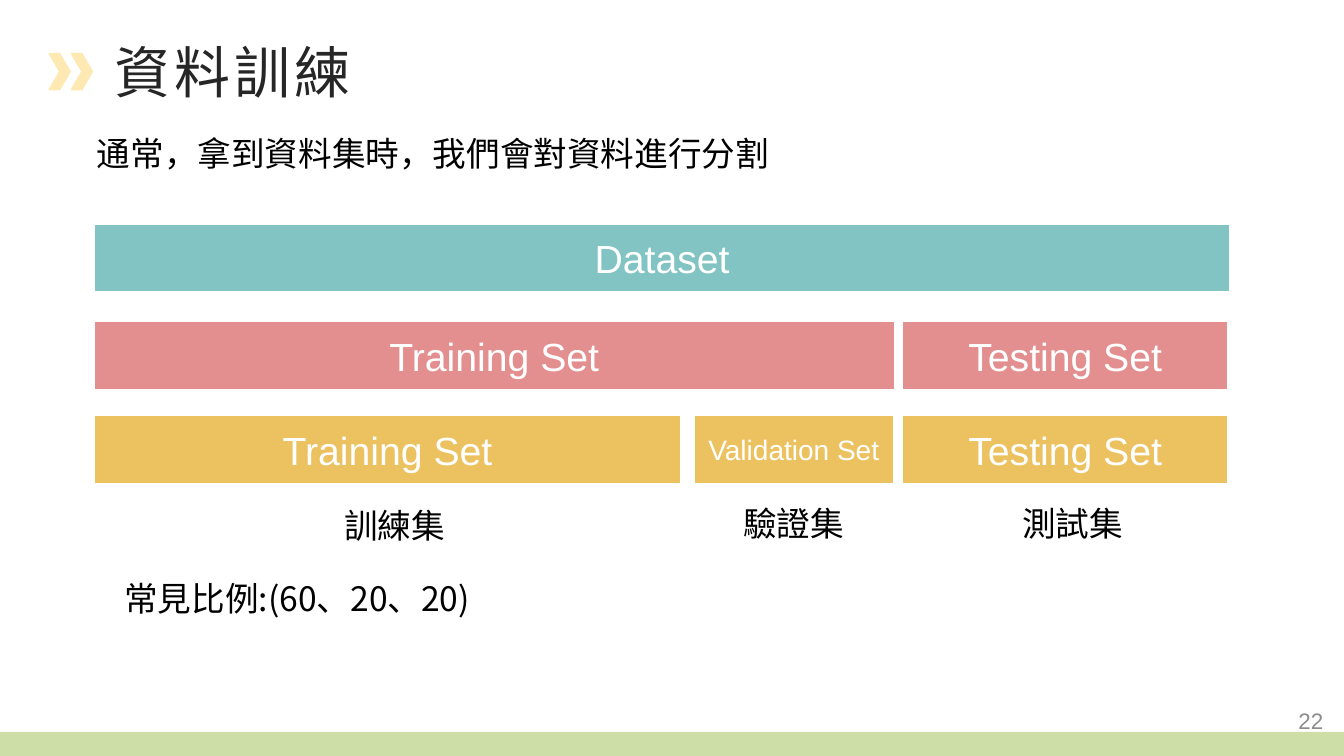
from dataclasses import dataclass

import pptx
import pptx.dml.color
import pptx.enum.shapes
import pptx.enum.text
import pptx.oxml.ns
import pptx.util
from pptx.util import Cm

RGBColor = pptx.dml.color.RGBColor
Align = pptx.enum.text.PP_ALIGN
Anchor = pptx.enum.text.MSO_ANCHOR
AutoSize = pptx.enum.text.MSO_AUTO_SIZE
Preset = pptx.enum.shapes.MSO_SHAPE

WHITE = RGBColor(0xFF, 0xFF, 0xFF)
BLACK = RGBColor(0x00, 0x00, 0x00)
CHARCOAL = RGBColor(0x26, 0x26, 0x26)
GRAY = RGBColor(0x8C, 0x8C, 0x8C)
GREEN = RGBColor(0xCE, 0xDE, 0xA7)
TEAL = RGBColor(0x82, 0xC3, 0xC3)
PINK = RGBColor(0xE3, 0x8F, 0x90)
GOLD = RGBColor(0xEC, 0xC2, 0x61)
CREAM = RGBColor(0xFF, 0xE9, 0xB3)

LATIN_FONT = "Arial"
BODY_FONT = "Noto Sans CJK JP"
TITLE_FONT = "Noto Sans CJK SC"

BAR_HEIGHT = 1.73
LABEL_HEIGHT = 1.27
LEFT_EDGE = 2.36
TEST_LEFT = 22.73
TEST_WIDTH = 8.23
SPLIT_TOP = 8.1
THREE_WAY_TOP = 10.46


@dataclass
class Bar:
    text: str
    left: float
    top: float
    width: float
    color: RGBColor
    size: int = 28


@dataclass
class Label:
    text: str
    left: float
    top: float
    width: float


BARS = [
    Bar("Dataset", LEFT_EDGE, 5.64, 28.65, TEAL),
    Bar("Training Set", LEFT_EDGE, SPLIT_TOP, 20.19, PINK),
    Bar("Testing Set", TEST_LEFT, SPLIT_TOP, TEST_WIDTH, PINK),
    Bar("Training Set", LEFT_EDGE, THREE_WAY_TOP, 14.81, GOLD),
    Bar("Validation Set", 17.48, THREE_WAY_TOP, 5.05, GOLD, 20),
    Bar("Testing Set", TEST_LEFT, THREE_WAY_TOP, TEST_WIDTH, GOLD),
]

LABELS = [
    Label("通常，拿到資料集時，我們會對資料進行分割", 2.11, 3.23, 17.6),
    Label("訓練集", 8.41, 12.6, 3.07),
    Label("驗證集", 18.47, 12.55, 3.07),
    Label("測試集", 25.5, 12.55, 3.07),
    Label("常見比例:(60、20、20)", LEFT_EDGE, 14.43, 10.26),
]


def write_text(shape, text: str, *, size: int, font: str, color: RGBColor,
               align=Align.CENTER, anchor=Anchor.MIDDLE, wrap: bool = True,
               grow: bool = False, spacing: int = 0) -> None:
    frame = shape.text_frame
    frame.word_wrap = wrap
    frame.vertical_anchor = anchor
    frame.auto_size = AutoSize.SHAPE_TO_FIT_TEXT if grow else AutoSize.NONE
    para = frame.paragraphs[0]
    para.alignment = align
    span = para.add_run()
    span.text = text
    span.font.size = pptx.util.Pt(size)
    span.font.name = font
    span.font.color.rgb = color
    properties = span.font._element
    east_asian = properties.makeelement(pptx.oxml.ns.qn("a:ea"), {"typeface": font})
    properties.find(pptx.oxml.ns.qn("a:latin")).addnext(east_asian)
    if spacing:
        properties.set("spc", str(spacing * 100))


def add_block(page, preset, left: float, top: float, width: float, height: float,
              fill: RGBColor, line: RGBColor | None = None, line_width: float = 1):
    shape = page.shapes.add_shape(preset, Cm(left), Cm(top), Cm(width), Cm(height))
    shape.shadow.inherit = False
    shape.fill.solid()
    shape.fill.fore_color.rgb = fill
    if line is None:
        shape.line.fill.background()
    else:
        shape.line.color.rgb = line
        shape.line.width = pptx.util.Pt(line_width)
    return shape


def add_bar(page, bar: Bar) -> None:
    shape = add_block(page, Preset.RECTANGLE, bar.left, bar.top, bar.width, BAR_HEIGHT,
                      bar.color, WHITE, 1.5)
    write_text(shape, bar.text, size=bar.size, font=LATIN_FONT, color=WHITE)


def add_label(page, label: Label) -> None:
    box = page.shapes.add_textbox(Cm(label.left), Cm(label.top), Cm(label.width),
                                  Cm(LABEL_HEIGHT))
    write_text(box, label.text, size=24, font=BODY_FONT, color=BLACK,
               anchor=Anchor.TOP, wrap=False, grow=True)


def main() -> None:
    deck = pptx.Presentation()
    deck.slide_width = Cm(33.87)
    deck.slide_height = Cm(19.05)
    page = deck.slides.add_slide(deck.slide_layouts[6])

    add_block(page, Preset.RECTANGLE, 0, 18.44, 33.87, 0.61, GREEN)
    for bar in BARS:
        add_bar(page, bar)
    for label in LABELS:
        add_label(page, label)

    number = page.shapes.add_textbox(Cm(25.98), Cm(17.65), Cm(7.62), Cm(1.02))
    write_text(number, "22", size=16, font=LATIN_FONT, color=GRAY, align=Align.RIGHT)

    for left in (1.24, 1.8):
        add_block(page, Preset.CHEVRON, left, 1.35, 0.53, 0.91, CREAM, CREAM)

    title = page.shapes.add_textbox(Cm(2.64), Cm(0.81), Cm(15.82), Cm(1.96))
    write_text(title, "資料訓練", size=40, font=TITLE_FONT, color=CHARCOAL,
               align=Align.LEFT, anchor=Anchor.TOP, grow=True, spacing=3)

    deck.save("out.pptx")


if __name__ == "__main__":
    main()
